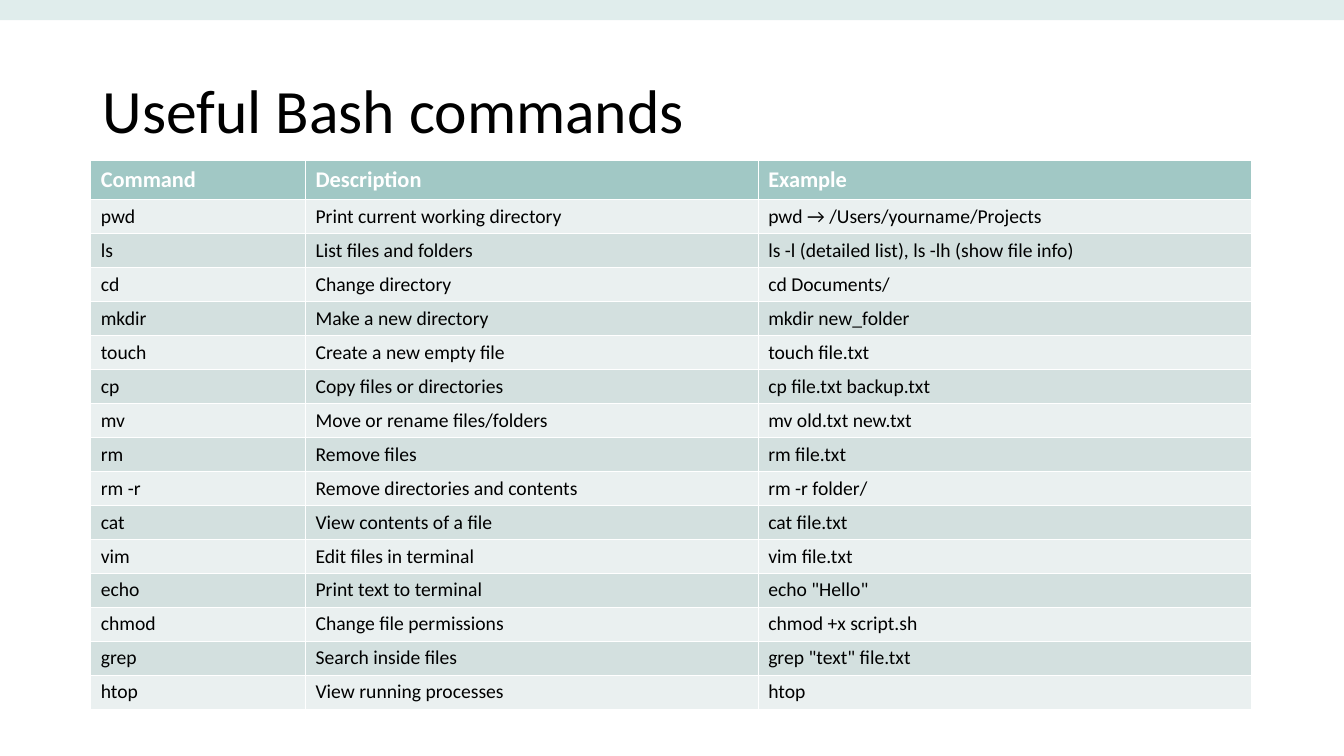
"""Build a slide with a table of useful Bash commands."""
from lxml.etree import SubElement
from pptx import Presentation
from pptx.dml.color import RGBColor
from pptx.enum.shapes import MSO_SHAPE
from pptx.enum.text import MSO_ANCHOR, MSO_AUTO_SIZE, PP_ALIGN
from pptx.oxml.ns import qn
from pptx.util import Inches, Pt

COLORS = {
    "band": "E0EDEC",
    "header": "A1C8C5",
    "light": "EAF0F0",
    "dark": "D3E0DF",
    "white": "FFFFFF",
    "black": "000000",
}
COLUMN_WIDTHS = [2.13, 4.49, 4.89]
HEADER_HEIGHT, ROW_HEIGHT = 0.39, 0.32
COMMANDS = [
    ("Command", "Description", "Example"),
    ("pwd", "Print current working directory", "pwd → /Users/yourname/Projects"),
    ("ls", "List files and folders", "ls -l (detailed list), ls -lh (show file info)"),
    ("cd", "Change directory", "cd Documents/"),
    ("mkdir", "Make a new directory", "mkdir new_folder"),
    ("touch", "Create a new empty file", "touch file.txt"),
    ("cp", "Copy files or directories", "cp file.txt backup.txt"),
    ("mv", "Move or rename files/folders", "mv old.txt new.txt"),
    ("rm", "Remove files", "rm file.txt"),
    ("rm -r", "Remove directories and contents", "rm -r folder/"),
    ("cat", "View contents of a file", "cat file.txt"),
    ("vim", "Edit files in terminal", "vim file.txt"),
    ("echo", "Print text to terminal", 'echo "Hello"'),
    ("chmod", "Change file permissions", "chmod +x script.sh"),
    ("grep", "Search inside files", 'grep "text" file.txt'),
    ("htop", "View running processes", "htop"),
]


def write(para, text, size, color, bold=False):
    span = para.add_run()
    span.text = text
    for name, value in {"name": "Calibri", "size": Pt(size), "bold": bold}.items():
        setattr(span.font, name, value)
    span.font.color.rgb = RGBColor.from_string(COLORS[color])


def add_borders(cell):
    properties = cell._tc.get_or_add_tcPr()
    for side in ("lnL", "lnR", "lnT", "lnB"):
        line = SubElement(properties, qn(f"a:{side}"), w=str(Pt(1)))
        fill = SubElement(line, qn("a:solidFill"))
        SubElement(fill, qn("a:srgbClr"), val=COLORS["white"])


deck = Presentation()
deck.slide_width, deck.slide_height = Inches(13.33), Inches(7.5)
page = deck.slides.add_slide(deck.slide_layouts.get_by_name("Title Only"))

band = page.shapes.add_shape(MSO_SHAPE.RECTANGLE, 0, 0, deck.slide_width, Inches(0.2))
band.shadow.inherit = False
band.fill.solid()
band.fill.fore_color.rgb = RGBColor.from_string(COLORS["band"])
band.line.fill.background()

title = page.shapes.title
title_place = {"left": 0.92, "top": 0.4, "width": 11.5, "height": 1.45}
for name, value in title_place.items():
    setattr(title, name, Inches(value))
title_frame = {
    "vertical_anchor": MSO_ANCHOR.MIDDLE,
    "word_wrap": True,
    "auto_size": MSO_AUTO_SIZE.NONE,
}
for name, value in title_frame.items():
    setattr(title.text_frame, name, value)
heading = title.text_frame.paragraphs[0]
heading.alignment = PP_ALIGN.LEFT
heading.line_spacing = 0.9
write(heading, "Useful Bash commands", 44, "black")

table_height = HEADER_HEIGHT + ROW_HEIGHT * (len(COMMANDS) - 1)
table = page.shapes.add_table(
    len(COMMANDS), len(COLUMN_WIDTHS),
    Inches(0.9), Inches(1.59), Inches(sum(COLUMN_WIDTHS)), Inches(table_height),
).table
for column, width in zip(table.columns, COLUMN_WIDTHS):
    column.width = Inches(width)

for row_index, texts in enumerate(COMMANDS):
    is_header = row_index == 0
    table.rows[row_index].height = Inches(HEADER_HEIGHT if is_header else ROW_HEIGHT)
    shade = "header" if is_header else ("dark", "light")[row_index % 2]
    size, color = (16, "white") if is_header else (14, "black")
    for column_index, text in enumerate(texts):
        cell = table.cell(row_index, column_index)
        cell.vertical_anchor = MSO_ANCHOR.MIDDLE
        add_borders(cell)
        cell.fill.solid()
        cell.fill.fore_color.rgb = RGBColor.from_string(COLORS[shade])
        write(cell.text_frame.paragraphs[0], text, size, color, is_header)

deck.save("out.pptx")
